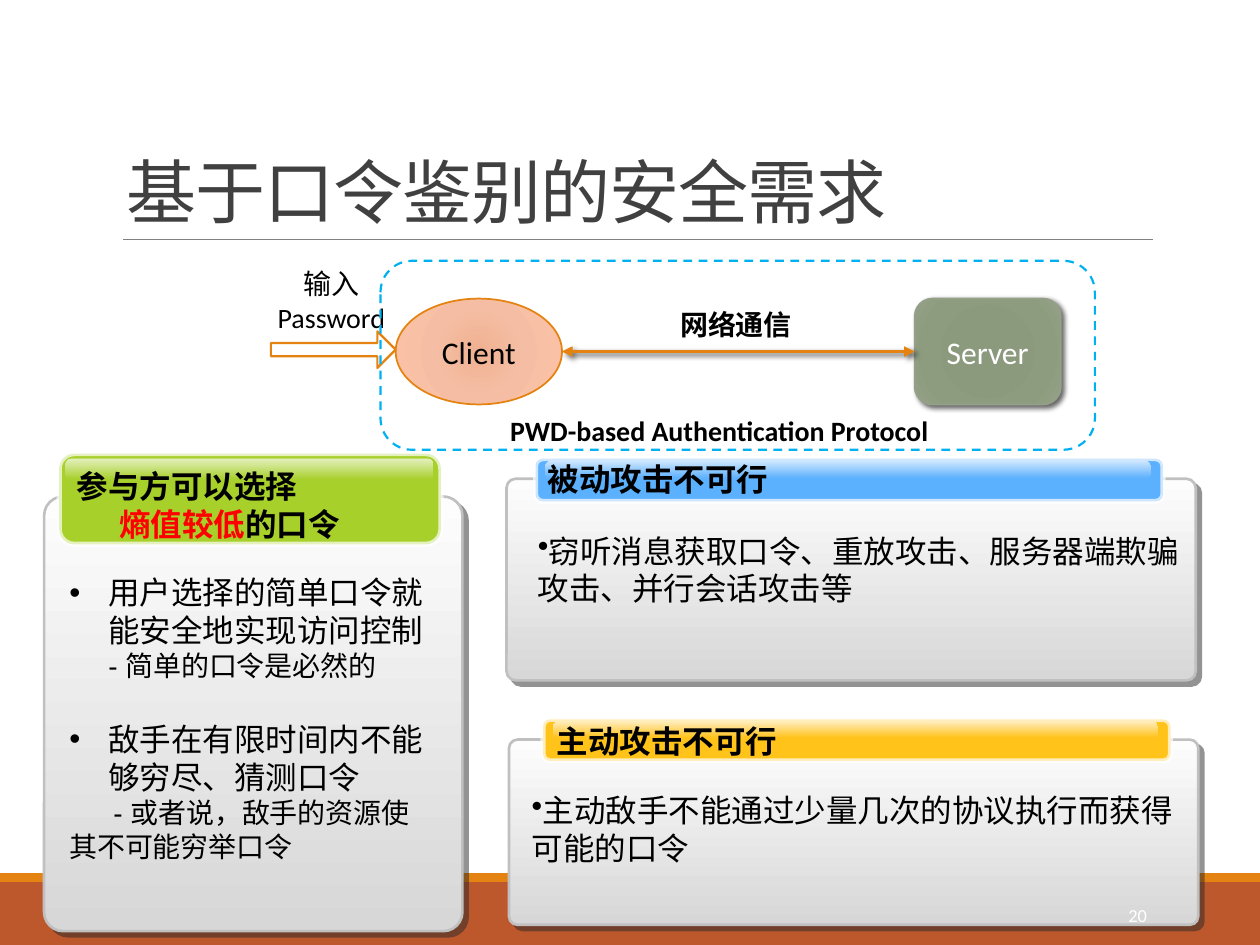
import pptx
import pptx.dml.color
import pptx.enum.dml
import pptx.enum.shapes
import pptx.enum.text
import pptx.oxml
import pptx.oxml.ns
import pptx.util

Inches = pptx.util.Inches
Pt = pptx.util.Pt
qn = pptx.oxml.ns.qn
SHAPE = pptx.enum.shapes.MSO_SHAPE
ANCHOR = pptx.enum.text.MSO_ANCHOR
ALIGN = pptx.enum.text.PP_ALIGN
NAMESPACE = pptx.oxml.ns.nsdecls("a")

PANEL_SHADOW = ("292929", 50, 0, 4.2)
DIAGRAM_SHADOW = ("000000", 60, 3, 2)


def rgb(value):
    return pptx.dml.color.RGBColor.from_string(value)


def color_xml(value, opacity=100):
    return f'<a:srgbClr val="{value}"><a:alpha val="{opacity * 1000}"/></a:srgbClr>'


def run(text, **style):
    return text, style


def para(*runs, **layout):
    return runs, layout


class SlideBuilder:
    """Holds the style and the slide being drawn."""

    orange = "E48312"
    black = "000000"

    def __init__(self, slide):
        self.slide = slide
        self.shapes = slide.shapes

    def place(self, shape, box):
        shape.left, shape.top, shape.width, shape.height = map(Inches, box)

    def gradient(self, shape, stops, direction, opacity=100):
        shape.fill.gradient()
        stop_xml = "".join(f'<a:gs pos="{position * 1000}">{color_xml(color, opacity)}</a:gs>'
                           for position, color in stops)
        properties = shape._element.spPr
        properties.replace(properties.find(qn("a:gradFill")), pptx.oxml.parse_xml(
            f'<a:gradFill {NAMESPACE} rotWithShape="1"><a:gsLst>{stop_xml}</a:gsLst>'
            f'{direction}</a:gradFill>'))

    def vertical(self, shape, top, bottom, opacity=100):
        self.gradient(shape, [(0, top), (100, bottom)], '<a:lin ang="5400000" scaled="1"/>', opacity)

    def radial(self, shape, stops):
        self.gradient(shape, stops, '<a:path path="circle"><a:fillToRect l="100000" t="100000" '
                                    'r="100000" b="100000"/></a:path>')

    def shadow(self, shape, color, opacity, blur, distance):
        effects = shape._element.spPr.find(qn("a:effectLst"))
        effects.append(pptx.oxml.parse_xml(
            f'<a:outerShdw {NAMESPACE} blurRad="{Pt(blur)}" dist="{Pt(distance)}" dir="2700000" '
            f'algn="tl" rotWithShape="0">{color_xml(color, opacity)}</a:outerShdw>'))

    def shape(self, kind, box, fill=None, line=None, width=1, adjust=()):
        shape = self.shapes.add_shape(kind, *map(Inches, box))
        shape.shadow.inherit = False
        for index, value in enumerate(adjust):
            shape.adjustments[index] = value
        if fill:
            shape.fill.solid()
            shape.fill.fore_color.rgb = rgb(fill)
        else:
            shape.fill.background()
        if line:
            shape.line.color.rgb = rgb(line)
            shape.line.width = Pt(width)
        else:
            shape.line.fill.background()
        return shape

    def line(self, start, end, color, width):
        connector = self.shapes.add_connector(
            pptx.enum.shapes.MSO_CONNECTOR.STRAIGHT, *map(Inches, start + end))
        connector.line.color.rgb = rgb(color)
        connector.line.width = Pt(width)
        connector._element.spPr.append(pptx.oxml.parse_xml(f"<a:effectLst {NAMESPACE}/>"))
        return connector

    def set_text(self, shape, paragraphs, size=18, font="Calibri", color=black, bold=False,
                 align=ALIGN.LEFT, anchor=ANCHOR.TOP, wrap=True):
        frame = shape.text_frame
        frame.word_wrap = wrap
        frame.auto_size = pptx.enum.text.MSO_AUTO_SIZE.NONE
        frame.vertical_anchor = anchor
        for index, (runs, layout) in enumerate(paragraphs):
            paragraph = frame.add_paragraph() if index else frame.paragraphs[0]
            paragraph.alignment = align
            paragraph.space_before = Pt(layout.get("before", 0))
            paragraph.line_spacing = layout.get("spacing", 1.0)
            properties = paragraph._p.get_or_add_pPr()
            properties.set("marL", str(Inches(layout.get("margin", 0))))
            properties.set("indent", str(Inches(layout.get("indent", 0))))
            bullet = '<a:buChar {} char="•"/>' if layout.get("bullet") else "<a:buNone {}/>"
            properties.append(pptx.oxml.parse_xml(bullet.format(NAMESPACE)))
            for text, style in runs:
                part = paragraph.add_run()
                part.text = text
                part.font.name = font
                part.font.bold = bold
                part.font.size = Pt(style.get("size", size))
                part.font.color.rgb = rgb(style.get("color", color))
                if "tracking" in style:
                    part._r.get_or_add_rPr().set("spc", str(style["tracking"]))

    def text(self, box, paragraphs, **style):
        self.set_text(self.shapes.add_textbox(*map(Inches, box)), paragraphs, **style)

    def title(self, text, box):
        title = self.shapes.title
        self.place(title, box)
        self.set_text(title, [para(run(text, tracking=-50), spacing=0.85)],
                      size=40, color="404040", anchor=ANCHOR.BOTTOM)

    def body(self, box, paragraphs, **style):
        body = self.slide.placeholders[1]
        self.place(body, box)
        self.shapes._spTree.append(body._element)  # bring in front of its panel
        self.set_text(body, paragraphs, **style)

    def panel(self, box, tab, gloss, color):
        back = self.shape(SHAPE.ROUNDED_RECTANGLE, box, line="C0C0C0", width=1.5, adjust=[0.046])
        self.vertical(back, "FDFDFD", "D7D7D7")
        self.shadow(back, *PANEL_SHADOW)
        label = self.shape(SHAPE.ROUNDED_RECTANGLE, tab, color, "FFFFFF", 3, [0.167])
        white = label._element.spPr.find(f"{qn('a:ln')}/{qn('a:solidFill')}/{qn('a:srgbClr')}")
        white.append(pptx.oxml.parse_xml(f'<a:alpha {NAMESPACE} val="70000"/>'))
        shine = self.shape(SHAPE.ROUNDED_RECTANGLE, gloss, adjust=[0.284])
        self.vertical(shine, "FFFFFF", color, 70)


def main():
    presentation = pptx.Presentation()
    presentation.slide_width, presentation.slide_height = Inches(10), Inches(7.5)
    builder = SlideBuilder(presentation.slides.add_slide(presentation.slide_layouts[1]))

    # Footer bands, title and rule
    builder.shape(SHAPE.RECTANGLE, (0, 7, 10, 0.5), "BD582C")
    builder.shape(SHAPE.RECTANGLE, (0, 6.93, 10, 0.07), builder.orange)
    builder.line((0.98, 1.9), (9.15, 1.9), "808080", 0.5)
    builder.title("基于口令鉴别的安全需求", (0.9, 0.31, 8.25, 1.59))

    # Left panel: low-entropy passwords
    builder.panel((0.35, 3.94, 3.32, 3.45), (0.47, 3.6, 3.03, 0.72),
                  (0.52, 3.64, 2.92, 0.17), "A8D02A")
    builder.text((0.51, 3.66, 2.6, 0.71), [
        para(run("参与方可以选择")),
        para(run("熵值较低", color="FF0000"), run("的口令"), indent=0.34),
    ], font="Arial", bold=True)
    hanging = {"bullet": True, "margin": 0.31, "indent": -0.31}
    builder.body((0.45, 4.5, 3.04, 2.52), [
        para(run("用户选择的简单口令就能安全地实现访问控制"), **hanging),
        para(run("- 简单的口令是必然的", size=16), margin=0.31),
        para(run("敌手在有限时间内不能够穷尽、猜测口令"), before=21.5, **hanging),
        para(run("- 或者说，敌手的资源使其不可能穷举口令", size=16), indent=0.35),
    ], font="Arial")

    # Right panels: passive and active attacks
    attacks = [
        ((4.02, 3.8, 5.47, 1.6), (4.25, 3.64, 4.98, 0.34), (4.33, 3.66, 4.8, 0.14), "5CB1FE",
         (4.25, 3.6), "被动攻击不可行",
         (4.17, 4.17), "窃听消息获取口令、重放攻击、服务器端欺骗攻击、并行会话攻击等"),
        ((4.04, 5.87, 5.47, 1.47), (4.31, 5.71, 4.98, 0.33), (4.39, 5.73, 4.8, 0.13), "FFC319",
         (4.32, 5.68), "主动攻击不可行",
         (4.12, 6.23), "主动敌手不能通过少量几次的协议执行而获得可能的口令"),
    ]
    for box, tab, gloss, color, heading_at, heading, detail_at, detail in attacks:
        builder.panel(box, tab, gloss, color)
        builder.text(heading_at + (1.98, 0.4), [para(run(heading))],
                     font="Arial", bold=True, wrap=False)
        builder.text(detail_at + (5.29, 0.71), [para(run(detail), bullet=True)], font="Arial")

    # Client and server
    client = builder.shape(SHAPE.OVAL, (3.14, 2.37, 1.32, 0.84), line=builder.orange)
    builder.radial(client, [(0, "F0B191"), (45, "F5BEA4"), (100, "FDC3A8")])
    server = builder.shape(SHAPE.ROUNDED_RECTANGLE, (7.26, 2.37, 1.16, 0.84), line="94A088")
    builder.radial(server, [(0, "8A987B"), (34, "8B997D"), (70, "8D9C7E"), (100, "94A187")])
    builder.shadow(server, *DIAGRAM_SHADOW)
    for node, name, color in ((client, "Client", "000000"), (server, "Server", "FFFFFF")):
        builder.set_text(node, [para(run(name))], color=color,
                         align=ALIGN.CENTER, anchor=ANCHOR.MIDDLE)

    # Network link and password input
    link = builder.line((4.46, 2.79), (7.26, 2.79), builder.orange, 2)
    link.end_connect(server, 1)
    outline = link._element.spPr.find(qn("a:ln"))
    for end in ("headEnd", "tailEnd"):
        outline.append(pptx.oxml.parse_xml(f'<a:{end} {NAMESPACE} type="triangle"/>'))
    builder.shadow(link, *DIAGRAM_SHADOW)
    builder.text((5.3, 2.39, 1.11, 0.37), [para(run("网络通信"))], size=16, bold=True, wrap=False)
    builder.text((2.09, 2.07, 1.08, 0.64), [para(run("输入Password"))],
                 size=16, align=ALIGN.CENTER)
    builder.shape(SHAPE.RIGHT_ARROW, (2.15, 2.63, 0.99, 0.29), "FFFFFF",
                  builder.orange, 1.25, [0.362, 0.5])

    # Protocol boundary
    boundary = builder.shape(SHAPE.ROUNDED_RECTANGLE, (3.02, 2.07, 5.67, 1.5),
                             line="00B0F0", width=1.25)
    boundary.line.dash_style = pptx.enum.dml.MSO_LINE.DASH
    builder.text((3.95, 3.23, 3.62, 0.35), [para(run("PWD-based Authentication Protocol"))],
                 size=16, bold=True, wrap=False)

    # Slide number
    builder.text((8.12, 7.06, 1.08, 0.4), [para(run("20"))], size=10.5, color="FFFFFF",
                 align=ALIGN.RIGHT, anchor=ANCHOR.MIDDLE)

    presentation.save("out.pptx")


if __name__ == "__main__":
    main()
